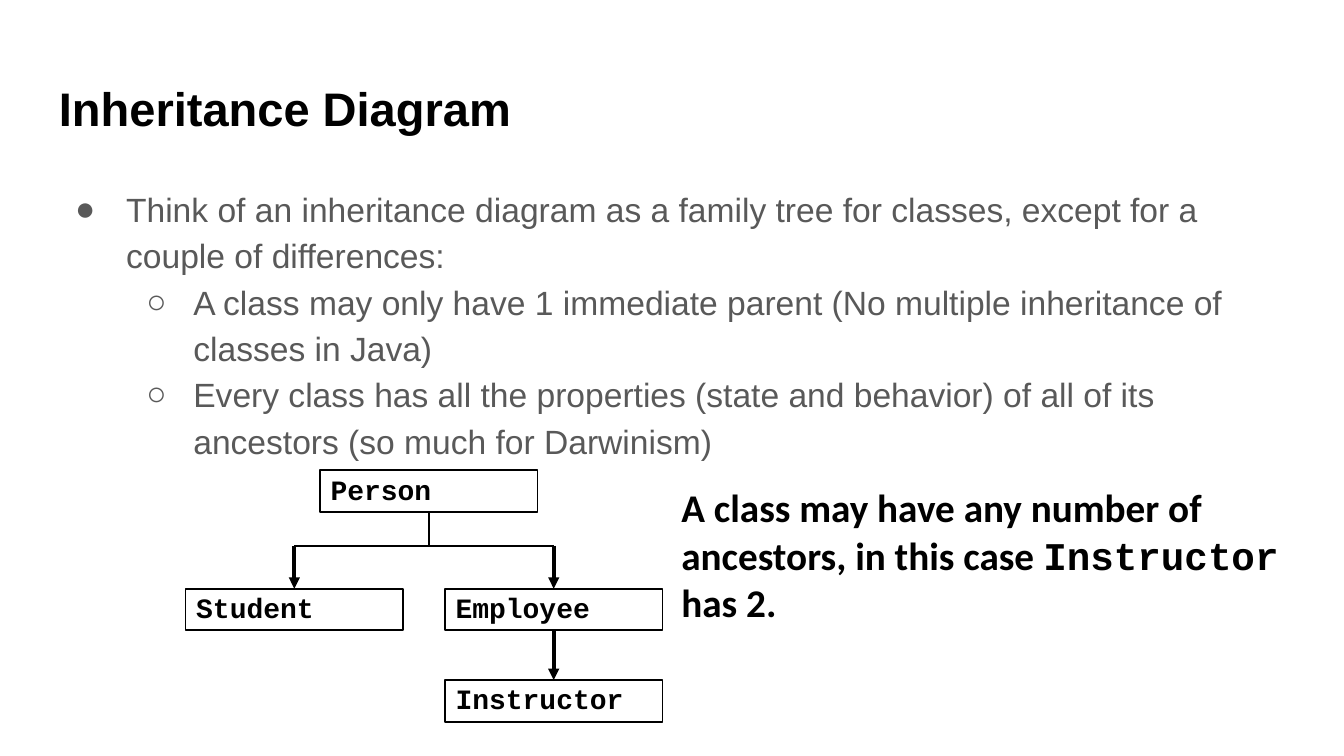
from lxml.etree import SubElement
from pptx import Presentation
from pptx.dml.color import RGBColor
from pptx.enum.shapes import MSO_CONNECTOR, MSO_SHAPE
from pptx.enum.text import MSO_ANCHOR, PP_ALIGN
from pptx.oxml.ns import qn
from pptx.util import Pt

PX = 9144  # EMU per px, 100 px to the inch
SLIDE_WIDTH = 1000 * PX
SLIDE_HEIGHT = SLIDE_WIDTH * 9 // 16
COLORS = {"ink": "000000", "body": "595959"}

# Content
TITLE = "Inheritance Diagram"
BULLETS = [
    (0, "Think of an inheritance diagram as a family tree for classes, "
        "except for a couple of differences:"),
    (1, "A class may only have 1 immediate parent "
        "(No multiple inheritance of classes in Java)"),
    (1, "Every class has all the properties (state and behavior) "
        "of all of its ancestors (so much for Darwinism)"),
]
BULLET_STYLES = [("●", 50, -38), ("○", 100, -35)]  # mark, margin, indent
NOTE = [
    ("A class may have any number of ancestors, in this case ", "Calibri"),
    ("Instructor", "Courier New"),
    (" has 2.", "Calibri"),
]
CLASS_WIDTH, CLASS_HEIGHT = 162, 31
CLASSES = {  # name: left, top
    "Person": (238, 350),
    "Student": (138, 438),
    "Employee": (331, 438),
    "Instructor": (331, 506),
}
BRANCH_Y = 406


def color(name):
    return RGBColor.from_string(COLORS[name])


def style_font(font, name, size, color_name, bold=False):
    font.name, font.size, font.bold = name, Pt(size), bold
    font.color.rgb = color(color_name)


def set_frame(frame, left, inset, anchor=MSO_ANCHOR.TOP):
    frame.word_wrap = True
    frame.vertical_anchor = anchor
    frame.margin_left = left * PX
    frame.margin_top = frame.margin_right = frame.margin_bottom = inset * PX


def add_text_box(slide, box, left, inset, anchor=MSO_ANCHOR.TOP):
    frame = slide.shapes.add_textbox(*(value * PX for value in box)).text_frame
    set_frame(frame, left, inset, anchor)
    return frame


def add_bullet(paragraph, level):
    mark, margin, indent = BULLET_STYLES[level]
    paragraph.level = level
    properties = paragraph._p.get_or_add_pPr()
    properties.set("marL", str(margin * PX))
    properties.set("indent", str(indent * PX))
    bullet_color = SubElement(properties, qn("a:buClr"))
    SubElement(bullet_color, qn("a:srgbClr"), val=COLORS["body"])
    SubElement(properties, qn("a:buFont"), typeface="Arial")
    SubElement(properties, qn("a:buChar"), char=mark)


def add_class_box(slide, name, left, top):
    shape = slide.shapes.add_shape(
        MSO_SHAPE.RECTANGLE, left * PX, top * PX, CLASS_WIDTH * PX, CLASS_HEIGHT * PX)
    shape.shadow.inherit = False
    shape.fill.background()
    shape.line.color.rgb = color("ink")
    shape.line.width = Pt(1)
    set_frame(shape.text_frame, 8, 4, MSO_ANCHOR.MIDDLE)
    paragraph = shape.text_frame.paragraphs[0]
    paragraph.text = name
    paragraph.alignment = PP_ALIGN.LEFT
    paragraph.line_spacing = 0.9
    style_font(paragraph.font, "Courier New", 15, "ink", True)


def add_line(slide, start, end, arrow=False):
    connector = slide.shapes.add_connector(
        MSO_CONNECTOR.STRAIGHT, *(value * PX for value in start + end))
    connector.line.color.rgb = color("ink")
    connector.line.width = Pt(2 if arrow else 1)
    if arrow:
        SubElement(connector.line._get_or_add_ln(), qn("a:tailEnd"), type="triangle")
    SubElement(connector._element.spPr, qn("a:effectLst"))


def top_center(name):
    left, top = CLASSES[name]
    return left + CLASS_WIDTH // 2, top


def bottom_center(name):
    x, top = top_center(name)
    return x, top + CLASS_HEIGHT


def main():
    presentation = Presentation()
    presentation.slide_width = SLIDE_WIDTH
    presentation.slide_height = SLIDE_HEIGHT
    slide = presentation.slides.add_slide(presentation.slide_layouts[6])

    # Title
    frame = add_text_box(slide, (34, 49, 932, 63), 10, 10)
    paragraph = frame.paragraphs[0]
    paragraph.text = TITLE
    style_font(paragraph.font, "Arial", 25.2, "ink", True)

    # Bullets
    frame = add_text_box(slide, (34, 126, 939, 343), 10, 10)
    for index, (level, text) in enumerate(BULLETS):
        paragraph = frame.add_paragraph() if index else frame.paragraphs[0]
        paragraph.text = text
        paragraph.line_spacing = 1.15
        add_bullet(paragraph, level)
        style_font(paragraph.font, "Arial", 18, "body")

    # Class boxes
    for name, (left, top) in CLASSES.items():
        add_class_box(slide, name, left, top)

    # Branch from parent to children
    parent = bottom_center("Person")
    children = [top_center(name) for name in ("Student", "Employee")]
    forks = [(x, BRANCH_Y) for x, _ in children]
    add_line(slide, parent, (parent[0], BRANCH_Y))
    add_line(slide, *forks)
    for fork, child in zip(forks, children):
        add_line(slide, fork, child, arrow=True)
    add_line(slide, bottom_center("Employee"), top_center("Instructor"), arrow=True)

    # Side note
    paragraph = add_text_box(slide, (500, 356, 466, 114), 7, 4).paragraphs[0]
    for text, font_name in NOTE:
        run = paragraph.add_run()
        run.text = text
        style_font(run.font, font_name, 21, "ink", True)

    presentation.save("out.pptx")


if __name__ == "__main__":
    main()
